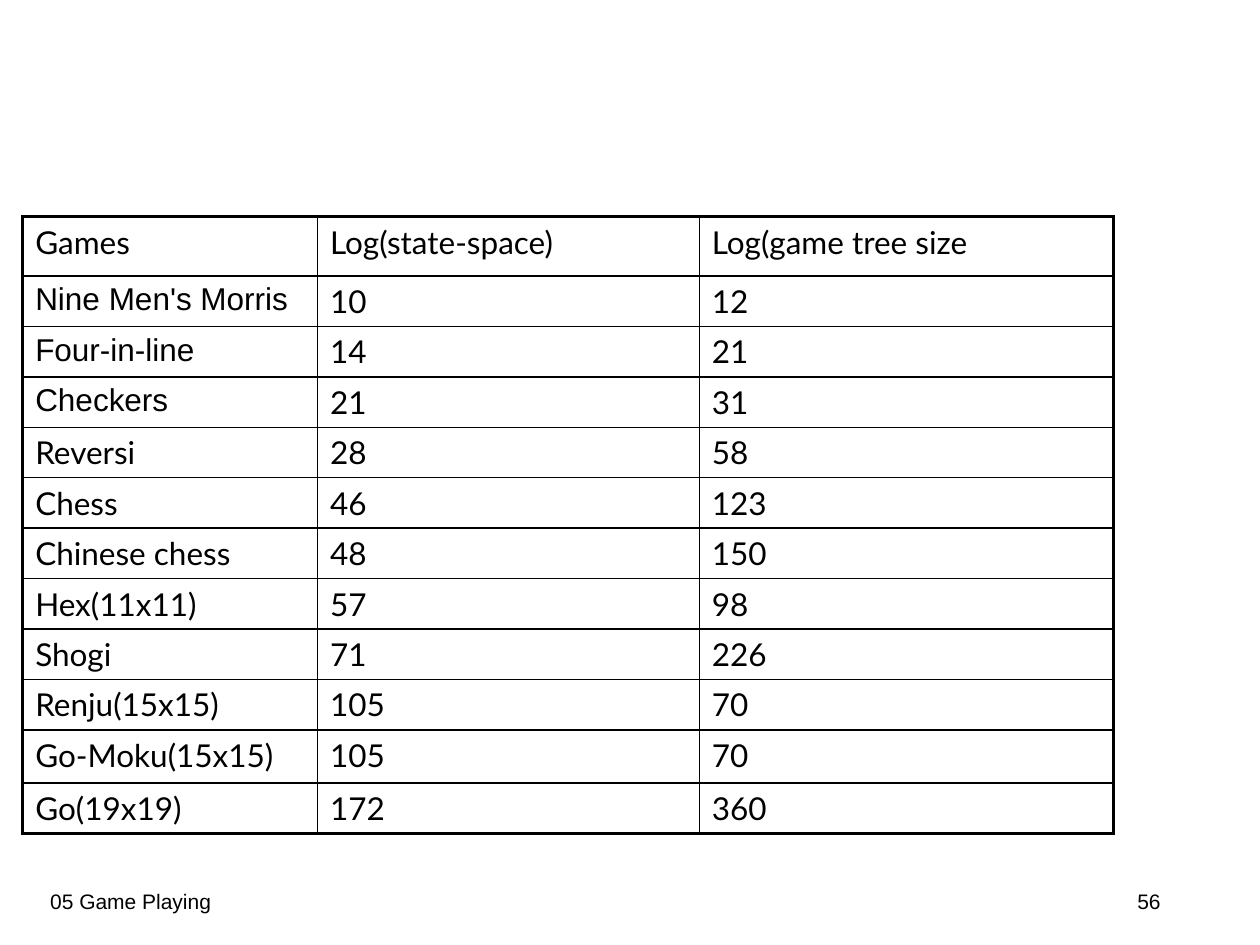
import dataclasses

import lxml.etree
import pptx
import pptx.dml.color
import pptx.enum.text
import pptx.oxml.ns
import pptx.util
from pptx.util import Inches


@dataclasses.dataclass(frozen=True)
class Theme:
    """Colours, fonts, type sizes and line widths of the slide."""
    ink: str = "000000"
    table_font: str = "Lato"
    plain_font: str = "Arial"
    table_size: float = 18
    footer_size: float = 12
    outer_line: float = 2.25
    inner_line: float = 1


THEME = Theme()
HEADINGS = ("Games", "Log(state-space)", "Log(game tree size")
GAMES = (
    ("Nine Men's Morris", 10, 12),
    ("Four-in-line", 14, 21),
    ("Checkers", 21, 31),
    ("Reversi", 28, 58),
    ("Chess", 46, 123),
    ("Chinese chess", 48, 150),
    ("Hex(11x11)", 57, 98),
    ("Shogi", 71, 226),
    ("Renju(15x15)", 105, 70),
    ("Go-Moku(15x15)", 105, 70),
    ("Go(19x19)", 172, 360),
)
PLAIN_FONT_ROWS = (1, 2, 3)
COLUMN_WIDTHS = (2.34, 3.03, 3.29)
ROW_HEIGHTS = (0.47,) + (0.4,) * 9 + (0.42, 0.4)


def add_span(para, text, font, size):
    """Add one run of text to a paragraph."""
    span = para.add_run()
    span.text = text
    span.font.name = font
    span.font.size = pptx.util.Pt(size)
    span.font.color.rgb = pptx.dml.color.RGBColor.from_string(THEME.ink)


def add_footer(page, text, left, width, align):
    """Add one text box on the footer line."""
    box = page.shapes.add_textbox(Inches(left), Inches(6.95), Inches(width), Inches(0.4))
    frame = box.text_frame
    frame.word_wrap = True
    frame.vertical_anchor = pptx.enum.text.MSO_ANCHOR.MIDDLE
    para = frame.paragraphs[0]
    para.alignment = align
    add_span(para, text, THEME.plain_font, THEME.footer_size)


def add_border(cell, side, width):
    """Draw one side of a cell as a solid line."""
    name = pptx.oxml.ns.qn
    properties = cell._tc.get_or_add_tcPr()
    line = lxml.etree.SubElement(properties, name(f"a:ln{side}"), w=str(pptx.util.Pt(width)))
    fill = lxml.etree.SubElement(line, name("a:solidFill"))
    lxml.etree.SubElement(fill, name("a:srgbClr"), val=THEME.ink)


def fill_cell(cell, text, font, outer_sides):
    """Set the text, borders and empty fill of a cell."""
    add_span(cell.text_frame.paragraphs[0], text, font, THEME.table_size)
    for side in "LRTB":
        add_border(cell, side, THEME.outer_line if side in outer_sides else THEME.inner_line)
    cell.fill.background()


def add_games_table(page):
    """Add the table of game complexities."""
    rows = (HEADINGS,) + GAMES
    last_row, last_column = len(rows) - 1, len(HEADINGS) - 1
    table = page.shapes.add_table(
        len(rows), len(HEADINGS), Inches(0.18), Inches(1.72),
        Inches(sum(COLUMN_WIDTHS)), Inches(sum(ROW_HEIGHTS))).table
    table.first_row = False
    table.horz_banding = False
    for column, width in zip(table.columns, COLUMN_WIDTHS):
        column.width = Inches(width)
    for row, height in zip(table.rows, ROW_HEIGHTS):
        row.height = Inches(height)
    for r, values in enumerate(rows):
        for c, value in enumerate(values):
            edges = {"L": c == 0, "R": c == last_column, "T": r == 0, "B": r == last_row}
            plain = c == 0 and r in PLAIN_FONT_ROWS
            fill_cell(table.cell(r, c), str(value),
                      THEME.plain_font if plain else THEME.table_font,
                      [side for side, outer in edges.items() if outer])


def main():
    """Build the slide and save it."""
    deck = pptx.Presentation()
    deck.slide_width, deck.slide_height = Inches(10), Inches(7.5)
    page = deck.slides.add_slide(deck.slide_layouts[6])
    add_footer(page, "05 Game Playing", 0.3, 3.76, pptx.enum.text.PP_ALIGN.LEFT)
    add_footer(page, "56", 7.06, 2.25, pptx.enum.text.PP_ALIGN.RIGHT)
    add_games_table(page)
    deck.save("out.pptx")


if __name__ == "__main__":
    main()
